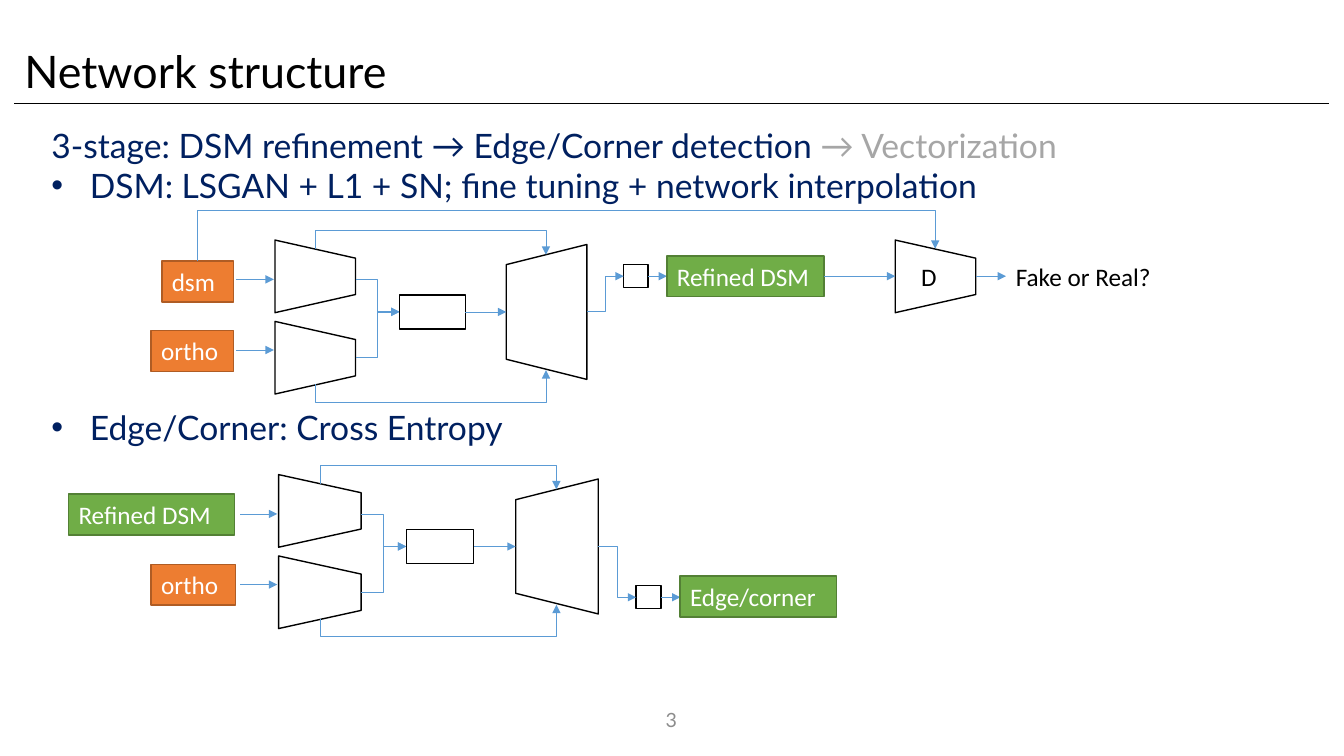
from lxml import etree
from pptx import Presentation
from pptx.dml.color import RGBColor
from pptx.enum.shapes import MSO_CONNECTOR, MSO_SHAPE
from pptx.enum.text import MSO_ANCHOR, MSO_AUTO_SIZE, PP_ALIGN
from pptx.oxml.ns import qn
from pptx.util import Cm, Pt

RECTANGLE, TRAPEZOID = MSO_SHAPE.RECTANGLE, MSO_SHAPE.TRAPEZOID
STRAIGHT, ELBOW = MSO_CONNECTOR.STRAIGHT, MSO_CONNECTOR.ELBOW
LEFT, CENTER = PP_ALIGN.LEFT, PP_ALIGN.CENTER
TOP, MIDDLE = MSO_ANCHOR.TOP, MSO_ANCHOR.MIDDLE
BLACK, WHITE, NAVY, GRAY, BLUE = "000000", "FFFFFF", "002060", "A6A6A6", "5B9BD5"
ORANGE, GREEN = ("ED7D31", "AF5C24"), ("70AD47", "538035")
OUTLINED = (WHITE, BLACK)
color = RGBColor.from_string

deck = Presentation()
deck.slide_width, deck.slide_height = Cm(33.87), Cm(19.05)
page = deck.slides.add_slide(deck.slide_layouts[1])


def add_block(kind, left, top, width, height, colors=OUTLINED, turn=0):
    """Place a block by its visible frame, also when it is turned a quarter."""
    if turn:
        left, top = left + (width - height) / 2, top + (height - width) / 2
        width, height = height, width
    block = page.shapes.add_shape(kind, Cm(left), Cm(top), Cm(width), Cm(height))
    block.rotation = turn
    block.shadow.inherit = False
    block.fill.solid()
    block.fill.fore_color.rgb = color(colors[0])
    block.line.color.rgb = color(colors[1])
    block.line.width = Pt(1)
    return block


def add_line(x1, y1, x2, y2, kind=STRAIGHT, peak=None, ink=BLUE, arrow=True):
    """Draw a line; with a peak it leaves and enters vertically, running level at that height."""
    ends = (x1, y1, x2, y2)
    if peak is not None:
        middle_x, middle_y = (x1 + x2) / 2, (y1 + y2) / 2
        half_width, half_height = abs(y2 - y1) / 2, (x2 - x1) / 2
        ends = (middle_x - half_width, middle_y - half_height,
                middle_x + half_width, middle_y + half_height)
    line = page.shapes.add_connector(kind, *[Cm(value) for value in ends])
    line.line.color.rgb = color(ink)
    line.line.width = Pt(0.5)
    properties = line._element.spPr
    if peak is not None:
        frame = properties.find(qn("a:xfrm"))
        frame.set("rot", "5400000")
        frame.set("flipV", "1")
        if y2 < y1:
            frame.set("flipH", "1")
        guides = properties.find(qn("a:prstGeom")).get_or_add_avLst()
        bend = round((peak - y1) / (y2 - y1) * 100000)
        etree.SubElement(guides, qn("a:gd"), name="adj1", fmla=f"val {bend}")
    if arrow:
        etree.SubElement(properties.find(qn("a:ln")), qn("a:tailEnd"), type="triangle")
    etree.SubElement(properties, qn("a:effectLst"))


# Title, page number and list
title, body = page.placeholders
title.left, title.top, title.width, title.height = Cm(0.36), Cm(0.97), Cm(16.41), Cm(1.63)
body.left, body.top, body.width, body.height = Cm(1.04), Cm(3.02), Cm(30.86), Cm(14.63)
number = page.shapes.add_textbox(Cm(13.11), Cm(17.63), Cm(7.62), Cm(1.02))
texts = [
    (title, "Network structure", 32, "Lato", BLACK, LEFT, TOP),
    (number, "3", 14, "Lato", "8C8C8C", CENTER, MIDDLE),
]
add_line(0.36, 2.6, 33.5, 2.6, ink=BLACK, arrow=False)

body_lines = [
    (False, 0, [("3-stage: DSM refinement → Edge/Corner detection ", NAVY),
                ("→ Vectorization", GRAY)]),
    (True, 0, [("DSM: LSGAN + L1 + SN; fine tuning + network interpolation", NAVY)]),
    (True, 144, [("Edge/Corner: Cross Entropy", NAVY)]),
]
body_frame = body.text_frame
body_frame.auto_size = MSO_AUTO_SIZE.NONE
body_frame.vertical_anchor = TOP
for index, (bulleted, gap, spans) in enumerate(body_lines):
    para = body_frame.add_paragraph() if index else body_frame.paragraphs[0]
    layout = para._p.get_or_add_pPr()
    indent = Cm(0.97) if bulleted else 0
    layout.set("marL", str(indent))
    layout.set("indent", str(-indent))
    if bulleted:
        etree.SubElement(layout, qn("a:buFont"), typeface="Arial")
        etree.SubElement(layout, qn("a:buChar"), char="•")
    else:
        etree.SubElement(layout, qn("a:buNone"))
    para.space_before = Pt(gap)
    para.line_spacing = 1.0
    for words, ink in spans:
        span = para.add_run()
        span.text = words
        span.font.size = Pt(24)
        span.font.name = "Lato"
        span.font.color.rgb = color(ink)

# Both networks share one plan: left, top, horizontal stretch, height of the head
ENCODER_WIDTH, ENCODER_HEIGHT = 2.03, 1.83
MIDDLE_Y = 1.81
for left, top, stretch, head_y in [(6.93, 6.05, 1, 0.91), (7.02, 11.96, 1.025, 3.09)]:
    x_skip, x_out, x_core, x_core_end, x_dec, x_dec_skip, x_dec_end, x_head, x_head_end, x_result = [
        left + stretch * offset
        for offset in (1.02, 2.03, 3.14, 4.8, 5.83, 6.83, 7.86, 8.79, 9.4, 9.88)]
    core_y, head_center = top + MIDDLE_Y, top + head_y
    for encoder_y, input_y, output_y in [(0, 0.99, 0.99), (2.05, 2.77, 2.96)]:
        add_block(TRAPEZOID, left, top + encoder_y, x_out - left, ENCODER_HEIGHT, turn=90)
        add_line(left - 0.97, top + input_y, left - 0.03, top + input_y)
        add_line(x_out, top + output_y, x_core, core_y, ELBOW)
    add_block(RECTANGLE, x_core, core_y - 0.43, x_core_end - x_core, 0.86)
    add_block(TRAPEZOID, x_dec, core_y - 1.7, x_dec_end - x_dec, 3.4, turn=270)
    add_block(RECTANGLE, x_head, head_center - 0.29, x_head_end - x_head, 0.58)
    add_line(x_core_end, core_y, x_dec, core_y)
    add_line(x_dec_end, core_y, x_head, head_center, ELBOW)
    add_line(x_head_end, head_center, x_result, head_center)
    for start_y, end_y, peak in [(0.23, 0.37, -0.24), (3.63, 3.28, 4.09)]:
        add_line(x_skip, top + start_y, x_dec_skip, top + end_y, ELBOW, top + peak)

# Inputs and outputs
for words, left, top, width, colors in [
    ("dsm", 4.08, 6.58, 1.8, ORANGE),
    ("ortho", 3.81, 8.33, 2.07, ORANGE),
    ("Refined DSM", 16.81, 6.45, 3.96, GREEN),
    ("Refined DSM", 1.73, 12.45, 4.18, GREEN),
    ("ortho", 3.81, 14.22, 2.12, ORANGE),
    ("Edge/corner", 17.14, 14.52, 3.95, GREEN),
]:
    label = add_block(RECTANGLE, left, top, width, 1.03, colors)
    texts.append((label, words, 18, "Calibri", WHITE, LEFT, TOP))

# Discriminator
discriminator = add_block(TRAPEZOID, 22.56, 6.05, ENCODER_WIDTH, ENCODER_HEIGHT, turn=90)
discriminator.text_frame._txBody.bodyPr.set("vert", "vert270")
verdict = page.shapes.add_textbox(Cm(25.35), Cm(6.45), Cm(3.96), Cm(1.03))
texts += [
    (discriminator, "D", 18, "Calibri", BLACK, CENTER, MIDDLE),
    (verdict, "Fake or Real?", 18, "Calibri", BLACK, LEFT, TOP),
]
add_line(20.77, 6.96, 22.56, 6.96)
add_line(24.59, 6.96, 25.35, 6.96)
add_line(4.97, 6.58, 23.57, 6.27, ELBOW, 5.31)

for box, words, size, font, ink, align, anchor in texts:
    frame = box.text_frame
    frame.auto_size = MSO_AUTO_SIZE.NONE
    frame.word_wrap = box is not verdict
    frame.vertical_anchor = anchor
    para = frame.paragraphs[0]
    para.alignment = align
    span = para.add_run()
    span.text = words
    span.font.size = Pt(size)
    span.font.name = font
    span.font.color.rgb = color(ink)

deck.save("out.pptx")
